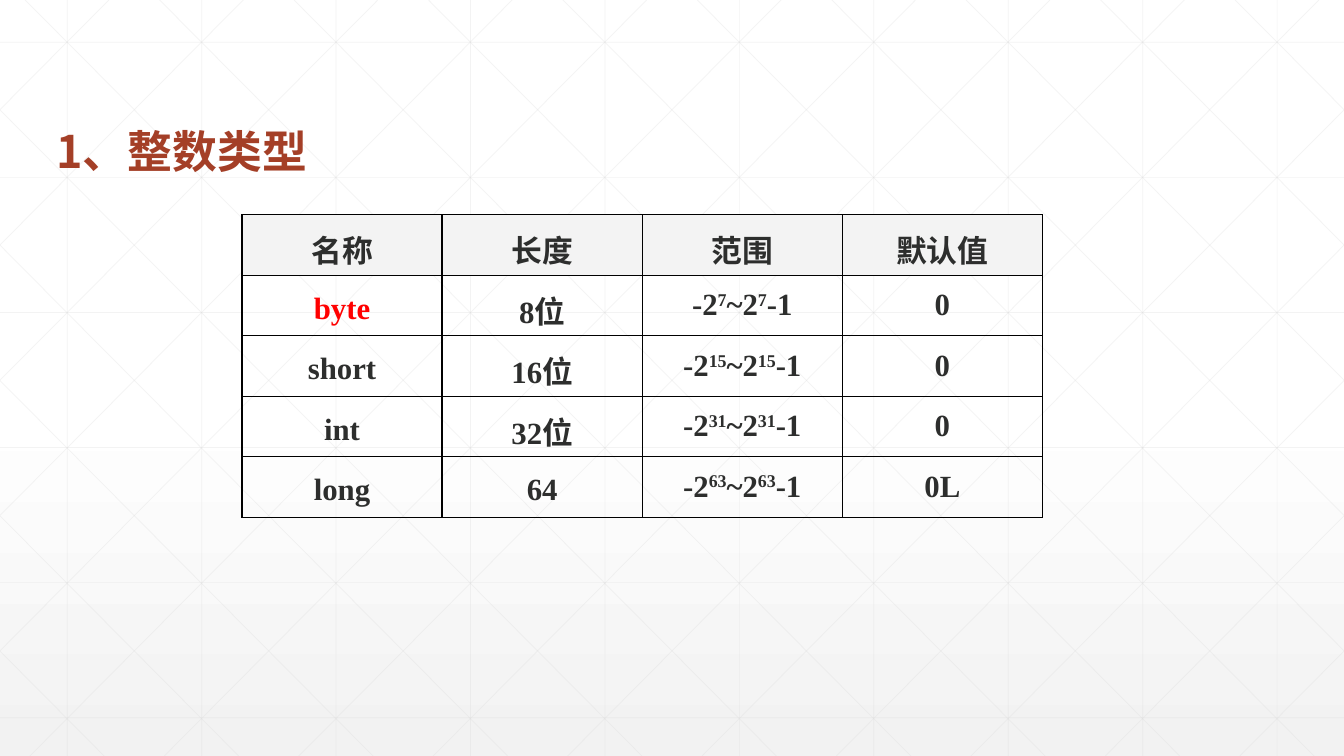
"""Build a slide with a table of the integer types."""
import dataclasses

import lxml.etree
import pptx
import pptx.dml.color
import pptx.enum.shapes
import pptx.enum.text
import pptx.oxml
import pptx.oxml.ns
import pptx.util

Inches = pptx.util.Inches
qn = pptx.oxml.ns.qn
namespace = pptx.oxml.ns.nsdecls("a")


@dataclasses.dataclass(frozen=True)
class Theme:
    title_color: str = "A43F27"
    text_color: str = "2D2E2D"
    accent_color: str = "FF0000"
    header_fill: str = "F3F3F3"
    border_color: str = "000000"
    grid_color: str = "D9D9D9"
    top_color: str = "FFFFFF"
    bottom_color: str = "F2F2F2"
    cjk_font: str = "Noto Sans CJK SC"
    table_font: str = "Times New Roman"
    title_size: int = 32
    table_size: int = 22


theme = Theme()
rgb = pptx.dml.color.RGBColor.from_string


def add_span(para, text, size, font, color):
    span = para.add_run()
    span.text = text
    span.font.size = pptx.util.Pt(size)
    span.font.bold = True
    span.font.color.rgb = rgb(color)
    span.font.name = font
    properties = span._r.get_or_add_rPr()
    lxml.etree.SubElement(properties, qn("a:ea")).set("typeface", theme.cjk_font)
    return properties


def add_grid_line(group, x1, y1, x2, y2):
    line = group.shapes.add_connector(
        pptx.enum.shapes.MSO_CONNECTOR.STRAIGHT,
        Inches(x1), Inches(y1), Inches(x2), Inches(y2))
    line.line.width = pptx.util.Pt(0.5)
    line.line.color.rgb = rgb(theme.grid_color)
    color = line._element.spPr.find(".//" + qn("a:srgbClr"))
    lxml.etree.SubElement(color, qn("a:alpha")).set("val", "30000")
    lxml.etree.SubElement(line._element.spPr, qn("a:effectLst"))


width, height = 13.33, 7.5
deck = pptx.Presentation()
deck.slide_width, deck.slide_height = Inches(width), Inches(height)
page = deck.slides.add_slide(deck.slide_layouts[6])

page.background.fill.gradient()
gradient = page._element.find(".//" + qn("a:gradFill"))
gradient.getparent().replace(gradient, pptx.oxml.parse_xml(
    f'<a:gradFill {namespace} rotWithShape="1"><a:gsLst>'
    f'<a:gs pos="0"><a:srgbClr val="{theme.top_color}"/></a:gs>'
    f'<a:gs pos="53000"><a:srgbClr val="{theme.top_color}"/></a:gs>'
    f'<a:gs pos="100000"><a:srgbClr val="{theme.bottom_color}">'
    '<a:alpha val="65000"/></a:srgbClr></a:gs>'
    '</a:gsLst><a:lin ang="5400000" scaled="0"/></a:gradFill>'))

grid = page.shapes.add_group_shape()
step = 4 / 3
for column in range(10):
    x = step * (column + 0.5)
    add_grid_line(grid, x, 0, x, height)
for row in range(6):
    y = 0.42 + 1.34 * row
    add_grid_line(grid, 0, y, width, y)
diagonal_run = 7.45
slope = height / diagonal_run
for index in range(-5, 10):
    start = 0.25 + step * index
    left, right = max(start, 0), min(start + diagonal_run, width)
    top, bottom = (left - start) * slope, (right - start) * slope
    add_grid_line(grid, left, top, right, bottom)
    add_grid_line(grid, width - left, top, width - right, bottom)

title = page.shapes.add_textbox(Inches(0.46), Inches(0.82), Inches(8.91), Inches(1))
title.text_frame.word_wrap = True
title.text_frame.vertical_anchor = pptx.enum.text.MSO_ANCHOR.BOTTOM
para = title.text_frame.paragraphs[0]
para.line_spacing = 0.9
add_span(para, "1、整数类型", theme.title_size, theme.cjk_font, theme.title_color)

headers = ["名称", "长度", "范围", "默认值"]
integer_types = [
    ("byte", "8位", "7", "0"),
    ("short", "16位", "15", "0"),
    ("int", "32位", "31", "0"),
    ("long", "64", "63", "0L"),
]
rows = [[[text] for text in headers]]
for name, length, power, default in integer_types:
    rows.append([[name], [length], ["-2", power, "~2", power, "-1"], [default]])

table = page.shapes.add_table(
    len(rows), len(headers), Inches(2.4), Inches(2.13), Inches(7.94), Inches(2.99)).table
table.first_row = table.horz_banding = False
for row in table.rows:
    row.height = Inches(0.6)

for row_index, row in enumerate(rows):
    for column_index, parts in enumerate(row):
        cell = table.cell(row_index, column_index)
        cell.margin_left = cell.margin_right = Inches(0.01)
        cell.margin_top = cell.margin_bottom = 0
        cell.vertical_anchor = pptx.enum.text.MSO_ANCHOR.MIDDLE
        if row_index == 0:
            cell.fill.solid()
            cell.fill.fore_color.rgb = rgb(theme.header_fill)
        else:
            cell.fill.background()
        for position, side in enumerate(("lnL", "lnR", "lnT", "lnB")):
            cell._tc.tcPr.insert(position, pptx.oxml.parse_xml(
                f'<a:{side} {namespace} w="12700"><a:solidFill>'
                f'<a:srgbClr val="{theme.border_color}"/></a:solidFill></a:{side}>'))
        para = cell.text_frame.paragraphs[0]
        para.alignment = pptx.enum.text.PP_ALIGN.CENTER
        if row_index == 0 or column_index < 2:
            para.line_spacing = 1.2
        color = theme.accent_color if parts == ["byte"] else theme.text_color
        for part_index, part in enumerate(parts):
            properties = add_span(para, part, theme.table_size, theme.table_font, color)
            if part_index % 2:
                properties.set("baseline", "30000")

deck.save("out.pptx")
